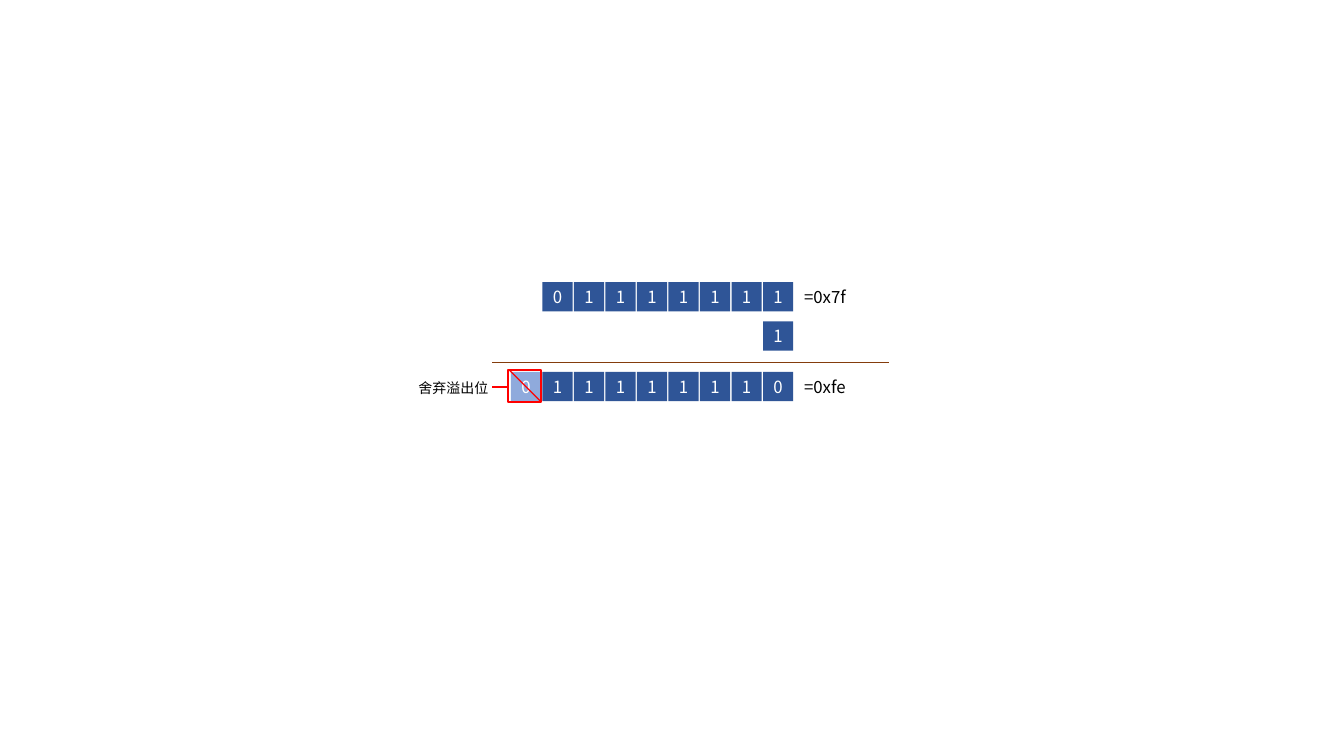
from dataclasses import dataclass

from lxml.etree import SubElement
from pptx import Presentation
from pptx.dml.color import RGBColor
from pptx.enum.shapes import MSO_CONNECTOR, MSO_SHAPE
from pptx.enum.text import MSO_ANCHOR, PP_ALIGN
from pptx.oxml.ns import qn
from pptx.shapes.autoshape import Shape
from pptx.shapes.shapetree import GroupShapes
from pptx.util import Cm, Pt


@dataclass(frozen=True)
class Theme:
    font: str = "Noto Sans CJK SC"
    bit: str = "2F5597"
    spill: str = "8FAADC"
    rule: str = "843C0C"
    mark: str = "FF0000"
    light: str = "FFFFFF"
    dark: str = "000000"
    body: int = 12
    small: int = 10


@dataclass(frozen=True)
class Row:
    bits: str
    top: float
    value: str = ""


@dataclass(frozen=True)
class Line:
    left: float
    top: float
    right: float
    bottom: float
    color: str
    width: float


THEME = Theme()
LEFT, LAST = 13.67, 19.23
COLS = 8
PITCH = (LAST - LEFT) / (COLS - 1)
WIDE, HIGH = 0.76, 0.74
SUM = 9.37

ROWS = [
    Row("01111111", 7.11, "=0x7f"),
    Row("1", 8.1),
    Row("11111110", SUM, "=0xfe"),
]
RULE = Line(12.4, 9.12, 22.4, 9.12, THEME.rule, 0.5)
MARKS = [
    Line(12.4, 9.75, 12.8, 9.75, THEME.mark, 1),
    Line(12.83, 9.32, 13.64, 10.13, THEME.mark, 1),
]


def put_text(shape: Shape, text: str, *, size: int = THEME.body,
             color: str = THEME.dark) -> None:
    frame = shape.text_frame
    frame.word_wrap = True
    frame.vertical_anchor = MSO_ANCHOR.MIDDLE
    frame.margin_left = frame.margin_right = 0
    frame.margin_top = frame.margin_bottom = 0
    para = frame.paragraphs[0]
    para.alignment = PP_ALIGN.CENTER
    run = para.add_run()
    run.text = text
    run.font.size = Pt(size)
    run.font.name = THEME.font
    run.font.color.rgb = RGBColor.from_string(color)
    SubElement(run.font._element, qn("a:ea")).set("typeface", THEME.font)


def add_box(group: GroupShapes, left: float, top: float,
            wide: float, high: float) -> Shape:
    box = group.add_shape(MSO_SHAPE.RECTANGLE, Cm(left), Cm(top), Cm(wide), Cm(high))
    box.shadow.inherit = False
    return box


def add_bit(group: GroupShapes, text: str, col: int, top: float,
            fill: str = THEME.bit) -> None:
    box = add_box(group, LEFT + col * PITCH, top, WIDE, HIGH)
    box.fill.solid()
    box.fill.fore_color.rgb = RGBColor.from_string(fill)
    box.line.fill.background()
    put_text(box, text, color=THEME.light)


def add_label(group: GroupShapes, text: str, left: float, top: float,
              wide: float, size: int = THEME.body) -> None:
    box = group.add_textbox(Cm(left), Cm(top), Cm(wide), Cm(HIGH))
    put_text(box, text, size=size)


def add_line(group: GroupShapes, line: Line) -> None:
    link = group.add_connector(MSO_CONNECTOR.STRAIGHT, Cm(line.left), Cm(line.top),
                               Cm(line.right), Cm(line.bottom))
    link.line.color.rgb = RGBColor.from_string(line.color)
    link.line.width = Pt(line.width)
    SubElement(link._element.spPr, qn("a:effectLst"))


def add_row(group: GroupShapes, row: Row) -> None:
    for col, bit in enumerate(row.bits, COLS - len(row.bits)):
        add_bit(group, bit, col, row.top)
    if row.value:
        add_label(group, row.value, 19.61, row.top, 2.36)


def add_spill(group: GroupShapes) -> None:
    add_bit(group, "0", -1, SUM, THEME.spill)
    frame = add_box(group, 12.8, 9.32, 0.84, 0.81)
    frame.fill.background()
    frame.line.color.rgb = RGBColor.from_string(THEME.mark)
    frame.line.width = Pt(1)
    add_label(group, "舍弃溢出位", 10.03, 9.4, 2.79, THEME.small)
    for line in MARKS:
        add_line(group, line)


def main() -> None:
    deck = Presentation()
    deck.slide_width, deck.slide_height = Cm(33.87), Cm(19.05)
    slide = deck.slides.add_slide(deck.slide_layouts[6])
    group = slide.shapes.add_group_shape().shapes
    for row in ROWS:
        add_row(group, row)
    add_line(group, RULE)
    add_spill(group)
    deck.save("out.pptx")


if __name__ == "__main__":
    main()
